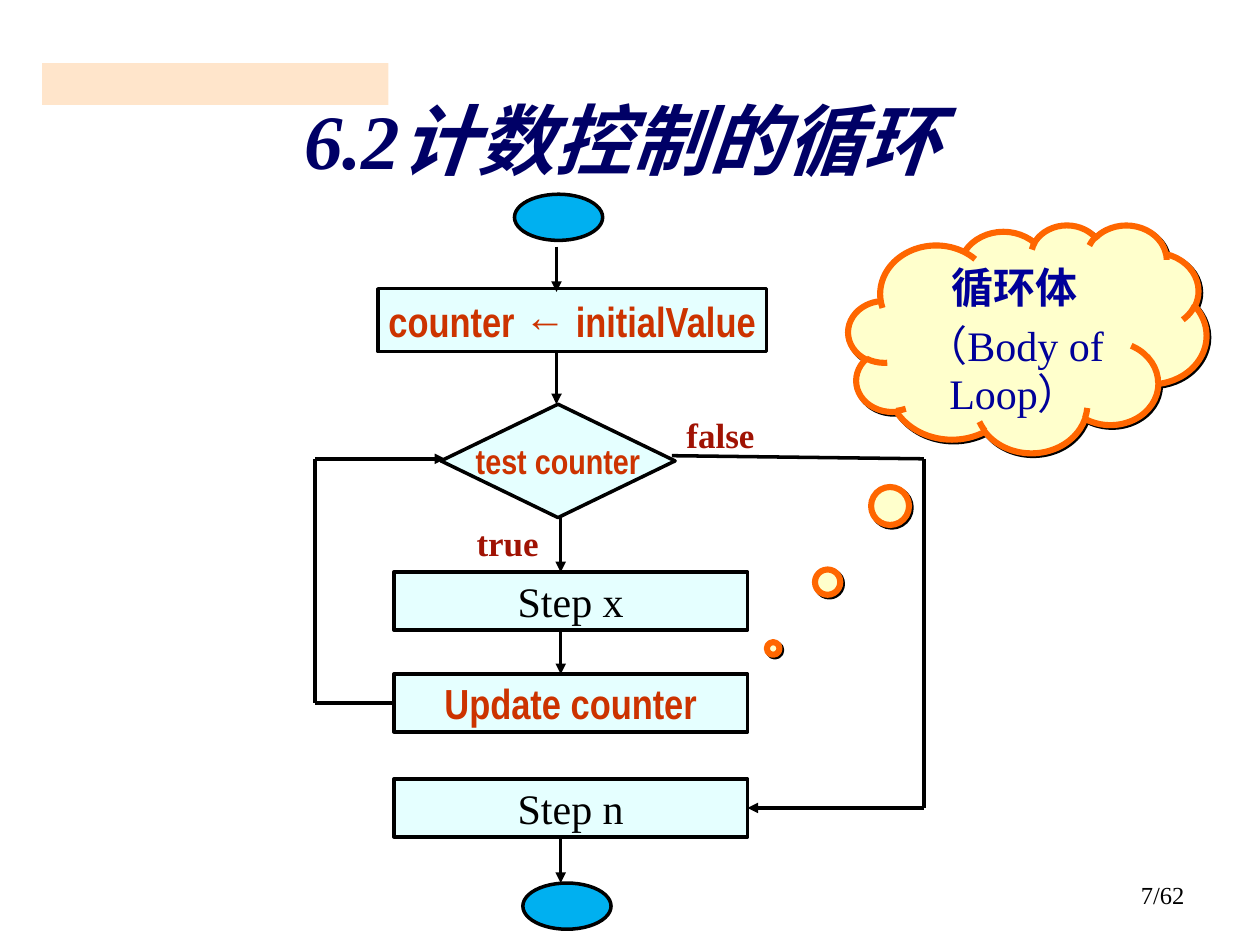
from lxml.etree import SubElement
from pptx import Presentation
from pptx.dml.color import RGBColor
from pptx.enum.shapes import MSO_CONNECTOR as Connector, MSO_SHAPE as Shape
from pptx.enum.text import MSO_ANCHOR as Anchor, MSO_AUTO_SIZE as AutoSize, PP_ALIGN as Align
from pptx.oxml.ns import qn
from pptx.util import Inches, Pt

COLUMNS, ROWS = 120, 90
LEFT, RIGHT = 1, 3


def color(hex_string):
    return RGBColor.from_string(hex_string)


class FlowSlide:
    """Style and current slide; lengths are columns and rows of a 120 by 90 grid."""

    serif, narrow = "Times New Roman", "Arial Narrow"
    black, navy, blue = "000000", "000066", "000099"
    orange, red, dark_red = "FF6600", "CC3300", "A01304"
    pale, sky, cream, peach = "E5FFFF", "00B0F0", "FFFFCC", "FFCC99"

    def __init__(self, presentation):
        self.slide = presentation.slides.add_slide(presentation.slide_layouts[5])
        self.column = presentation.slide_width / COLUMNS
        self.row = presentation.slide_height / ROWS

    def box(self, left, top, width, height):
        return (round(left * self.column), round(top * self.row),
                round(width * self.column), round(height * self.row))

    def add_text(self, paragraph, text, size, hex_string, font=serif, bold=False, italic=False,
                 align=Align.CENTER):
        paragraph.alignment = align
        run = paragraph.add_run()
        run.text = text
        run.font.name, run.font.size = font, Pt(size)
        run.font.bold, run.font.italic = bold, italic
        run.font.color.rgb = color(hex_string)

    def title(self, text, *place):
        title = self.slide.shapes.title
        title.left, title.top, title.width, title.height = self.box(*place)
        frame = title.text_frame
        frame.vertical_anchor = Anchor.MIDDLE
        frame.auto_size = AutoSize.NONE
        paragraph = frame.paragraphs[0]
        paragraph.line_spacing = 0.85
        self.add_text(paragraph, text, 44, self.navy, bold=True, italic=True)

    def shape(self, kind, place, fill, line=black, weight=2):
        shape = self.slide.shapes.add_shape(kind, *self.box(*place))
        shape.shadow.inherit = False
        shape.fill.solid()
        shape.fill.fore_color.rgb = color(fill)
        if line:
            shape.line.color.rgb = color(line)
            shape.line.width = Pt(weight)
        else:
            shape.line.fill.background()
        return shape

    def band(self, *place):
        """Half-transparent bar above the title."""
        band = self.shape(Shape.RECTANGLE, place, self.peach, line=None)
        fill = band._element.spPr.find(qn("a:solidFill"))
        SubElement(fill[0], qn("a:alpha"), val="50000")

    def terminal(self, left, top):
        self.shape(Shape.OVAL, (left, top, 8.4, 4.4), self.sky)

    def step(self, text, place, kind=Shape.RECTANGLE, size=24, counter=True):
        """Flowchart node; counter steps are in red narrow type."""
        shape = self.shape(kind, place, self.pale)
        frame = shape.text_frame
        frame.word_wrap = False
        frame.vertical_anchor = Anchor.MIDDLE
        self.add_text(frame.paragraphs[0], text, size, self.red if counter else self.black,
                      self.narrow if counter else self.serif, bold=counter)
        return shape

    def label(self, text, place, size=20, hex_string=dark_red, bold=True, align=Align.LEFT,
              wrap=False):
        frame = self.slide.shapes.add_textbox(*self.box(*place)).text_frame
        frame.word_wrap = wrap
        frame.auto_size = AutoSize.NONE if wrap else AutoSize.SHAPE_TO_FIT_TEXT
        self.add_text(frame.paragraphs[0], text, size, hex_string, bold=bold, align=align)

    def line(self, start, end, arrow=False, begin=None, finish=None):
        """Straight line; begin and finish are (shape, side) pairs to join."""
        connector = self.slide.shapes.add_connector(
            Connector.STRAIGHT, *self.box(*start, *end))
        connector.line.color.rgb = color(self.black)
        connector.line.width = Pt(2)
        properties = connector._element.spPr
        if arrow:
            SubElement(properties.find(qn("a:ln")), qn("a:tailEnd"), type="triangle")
        SubElement(properties, qn("a:effectLst"))
        if begin:
            connector.begin_connect(*begin)
        if finish:
            connector.end_connect(*finish)

    def route(self, points, begin=None, finish=None):
        """Chain of lines with an arrowhead on the last one."""
        last = len(points) - 2
        for index, (start, end) in enumerate(zip(points, points[1:])):
            self.line(start, end, index == last, begin if index == 0 else None,
                      finish if index == last else None)

    def cloud(self, heading, text, place):
        cloud = self.shape(Shape.CLOUD_CALLOUT, place, self.cream, self.orange, 3.5)
        cloud.adjustments[0], cloud.adjustments[1] = -0.71, 1.36
        effects = cloud._element.spPr.find(qn("a:effectLst"))
        shadow = SubElement(effects, qn("a:outerShdw"), dist=str(int(Pt(1.4))), dir="2700000",
                            algn="ctr", rotWithShape="0")
        SubElement(shadow, qn("a:srgbClr"), val=self.black)
        frame = cloud.text_frame
        frame.word_wrap = True
        frame.vertical_anchor = Anchor.TOP
        first, second = frame.paragraphs[0], frame.add_paragraph()
        second.space_before = Pt(6)
        for paragraph, words, bold in ((first, heading, True), (second, text, False)):
            paragraph.line_spacing = 0.95
            self.add_text(paragraph, words, 24, self.blue, bold=bold)


def main():
    presentation = Presentation()
    presentation.slide_width, presentation.slide_height = Inches(10), Inches(7.5)
    flow = FlowSlide(presentation)

    flow.band(4, 6, 33, 4)
    flow.label("7/62", (86, 83.2, 28, 6.2), 14, flow.black, False, Align.RIGHT, wrap=True)
    flow.title("6.2计数控制的循环", 7.5, 8.3, 103.5, 11.2)

    step_left, step_width, step_height = 37.5, 33.7, 5.5
    step_x_top, update_top, step_n_top = 54.5, 64.2, 74.2
    update_middle, step_n_middle = (top + step_height / 2 for top in (update_top, step_n_top))

    def step_place(top):
        return step_left, top, step_width, step_height

    flow.terminal(49, 18.5)
    flow.step("counter ← initialValue", (36, 27.5, 37, 6))
    flow.step("test counter", (42, 38.5, 22.3, 10.8), Shape.DIAMOND, 20)
    flow.step("Step x", step_place(step_x_top), counter=False)
    update = flow.step("Update counter", step_place(update_top))
    step_n = flow.step("Step n", step_place(step_n_top), counter=False)
    flow.terminal(49.8, 84.1)
    flow.label("false", (64.2, 38.8, 8.9, 5.3))
    flow.label("true", (44.2, 49.1, 8.3, 5.3))

    upper_x, lower_x = 53, 53.4
    for x, top, bottom in ((upper_x, 23.5, 27.8), (upper_x, 33.5, 38.5),
                           (lower_x, 49.1, step_x_top), (lower_x, 59.9, update_top),
                           (lower_x, 79.6, 84.1)):
        flow.line((x, top), (x, bottom), arrow=True)

    test_y, loop_x, exit_x = 43.7, 30, 88
    flow.route([(step_left, update_middle), (loop_x, update_middle), (loop_x, test_y),
                (42.4, test_y)], begin=(update, LEFT))
    flow.route([(64, 43.4), (exit_x, test_y), (exit_x, step_n_middle),
                (step_left + step_width, step_n_middle)], finish=(step_n, RIGHT))

    flow.cloud("循环体", "（Body of Loop）", (80.8, 21.4, 34.1, 21.7))
    presentation.save("out.pptx")


if __name__ == "__main__":
    main()
